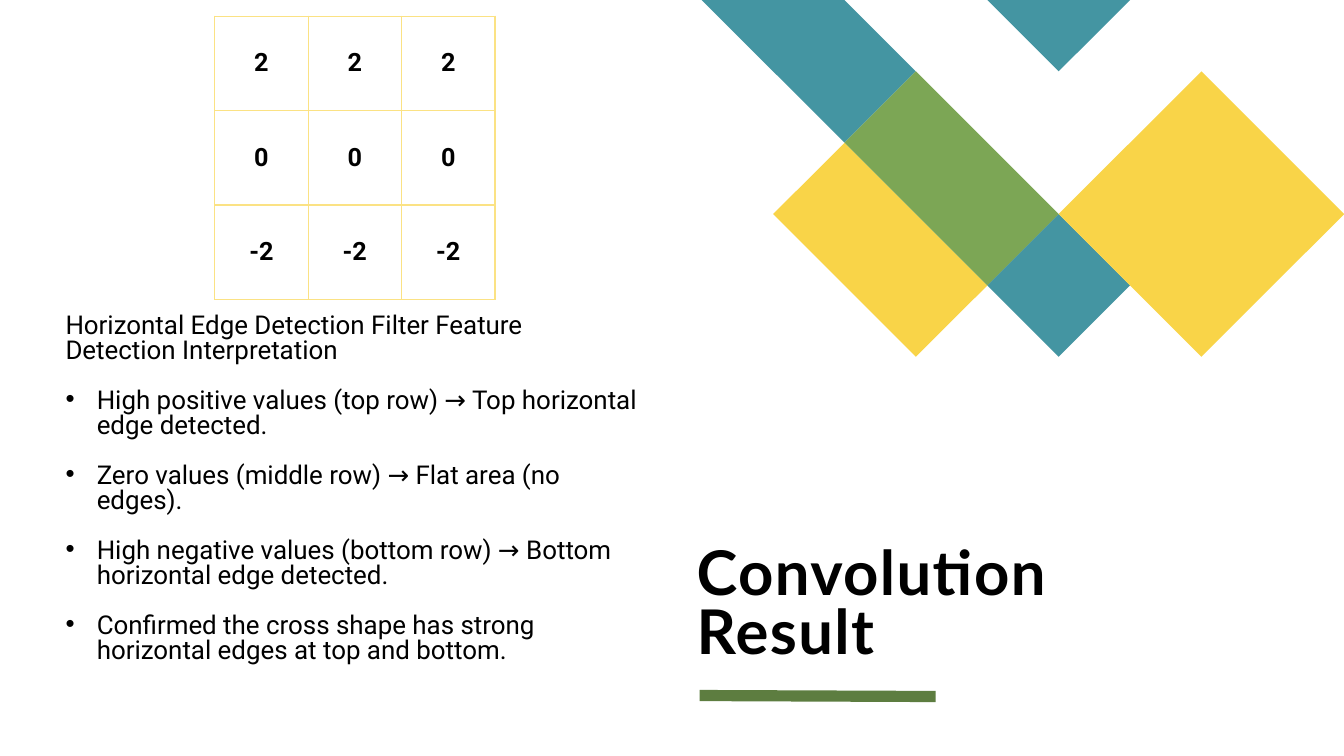
from lxml.etree import SubElement
from pptx import Presentation
from pptx.dml.color import RGBColor
from pptx.enum.shapes import MSO_CONNECTOR
from pptx.enum.text import MSO_ANCHOR, MSO_AUTO_SIZE, PP_ALIGN
from pptx.oxml.ns import qn
from pptx.util import Inches, Pt

TEAL, YELLOW, GREEN = "4495A2", "F9D448", "7CA655"
RULE, GRID, INK = "5D7D40", "FBE284", "000000"
TILE = 3.54 / 5
PATTERN_LEFT = 6.96
INDENT = 0.31


def rgb(value):
    return RGBColor.from_string(value)


def write(paragraph, text, font="Roboto", size=18, color=INK, bold=False,
          align=PP_ALIGN.LEFT, line=None, before=None, tracking=None):
    paragraph.alignment = align
    if line is not None:
        paragraph.line_spacing = line
    if before is not None:
        paragraph.space_before = Pt(before)
    run = paragraph.add_run()
    run.text = text
    run.font.name = font
    run.font.size = Pt(size)
    run.font.bold = bold
    run.font.color.rgb = rgb(color)
    if tracking is not None:
        run._r.get_or_add_rPr().set("spc", str(tracking * 100))


class SlideBuilder:
    """Holds the slide and draws each kind of element in its style."""

    def __init__(self, slide):
        self.slide = slide

    def tiles(self, color, *outlines):
        def place(column, row):
            return Inches(PATTERN_LEFT + column * TILE), Inches(row * TILE)

        first, *others = outlines
        builder = self.slide.shapes.build_freeform(*place(*first[0]))
        builder.add_line_segments([place(*point) for point in first[1:]])
        for outline in others:
            builder.move_to(*place(*outline[0]))
            builder.add_line_segments([place(*point) for point in outline[1:]])
        shape = builder.convert_to_shape()
        shape.shadow.inherit = False
        shape.fill.solid()
        shape.fill.fore_color.rgb = rgb(color)
        shape.line.fill.background()

    def rule(self, start, end, color, width):
        line = self.slide.shapes.add_connector(
            MSO_CONNECTOR.STRAIGHT, *map(Inches, start + end))
        line.line.color.rgb = rgb(color)
        line.line.width = Pt(width)
        SubElement(line._element.spPr, qn("a:effectLst"))

    def frame(self, placeholder, box, anchor, top_inset=0):
        placeholder.left, placeholder.top, placeholder.width, placeholder.height = map(Inches, box)
        frame = placeholder.text_frame
        frame.auto_size = MSO_AUTO_SIZE.NONE
        frame.word_wrap = True
        frame.vertical_anchor = anchor
        frame.margin_left = frame.margin_right = frame.margin_bottom = 0
        frame.margin_top = Inches(top_inset)
        return frame

    def title(self, text, box):
        frame = self.frame(self.slide.shapes.title, box, MSO_ANCHOR.BOTTOM)
        write(frame.paragraphs[0], text, font="Lato", size=44, bold=True,
              line=0.8, before=0, tracking=1)

    def body(self, lead, points, box):
        frame = self.frame(self.slide.placeholders[1], box, MSO_ANCHOR.TOP, 0.05)
        for index, text in enumerate([lead, *points]):
            paragraph = frame.add_paragraph() if index else frame.paragraphs[0]
            write(paragraph, text, size=18.5, line=0.8, before=18)
            indent = Inches(INDENT) if index else 0
            properties = paragraph._p.get_or_add_pPr()
            properties.set("marL", str(indent))
            properties.set("indent", str(-indent))
            if index:
                paragraph.level = 1
                SubElement(properties, qn("a:buFont"), typeface="Arial")
                SubElement(properties, qn("a:buChar"), char="•")
            else:
                SubElement(properties, qn("a:buNone"))

    def matrix(self, rows, box):
        table = self.slide.shapes.add_table(len(rows), len(rows[0]), *map(Inches, box)).table
        table.first_row = table.horz_banding = False
        for row, values in enumerate(rows):
            for column, value in enumerate(values):
                cell = table.cell(row, column)
                cell.vertical_anchor = MSO_ANCHOR.MIDDLE
                write(cell.text_frame.paragraphs[0], str(value), bold=True,
                      align=PP_ALIGN.CENTER)
                self.borders(cell)
                cell.fill.background()

    def borders(self, cell):
        properties = cell._tc.get_or_add_tcPr()
        for side in ("a:lnL", "a:lnR", "a:lnT", "a:lnB"):
            edge = SubElement(properties, qn(side), w=str(Pt(1)))
            fill = SubElement(edge, qn("a:solidFill"))
            SubElement(fill, qn("a:srgbClr"), val=GRID)


def main():
    deck = Presentation()
    deck.slide_width, deck.slide_height = Inches(13.33), Inches(7.5)
    page = SlideBuilder(deck.slides.add_slide(deck.slide_layouts[1]))

    page.tiles(TEAL, [(0, 0), (2, 0), (3, 1), (2, 2)],
               [(6, 4), (5, 3), (4, 4), (5, 5)])
    page.tiles(YELLOW, [(2, 2), (1, 3), (3, 5), (4, 4)])
    page.tiles(TEAL, [(4, 0), (6, 0), (5, 1)])
    page.tiles(GREEN, [(3, 1), (2, 2), (4, 4), (5, 3)])
    page.tiles(YELLOW, [(9, 3), (7, 1), (5, 3), (7, 5)])

    page.rule((6.94, 6.9), (9.28, 6.91), RULE, 8)
    page.title("Convolution Result", (6.91, 3.83, 5.4, 2.78))
    page.body("Horizontal Edge Detection Filter Feature Detection Interpretation", [
        "High positive values (top row) → Top horizontal edge detected.",
        "Zero values (middle row) → Flat area (no edges).",
        "High negative values (bottom row) → Bottom horizontal edge detected.",
        "Confirmed the cross shape has strong horizontal edges at top and bottom.",
    ], (0.65, 3.07, 5.68, 3.63))
    page.matrix([[value] * 3 for value in (2, 0, -2)], (2.13, 0.16, 2.78, 2.81))

    deck.save("out.pptx")


if __name__ == "__main__":
    main()
